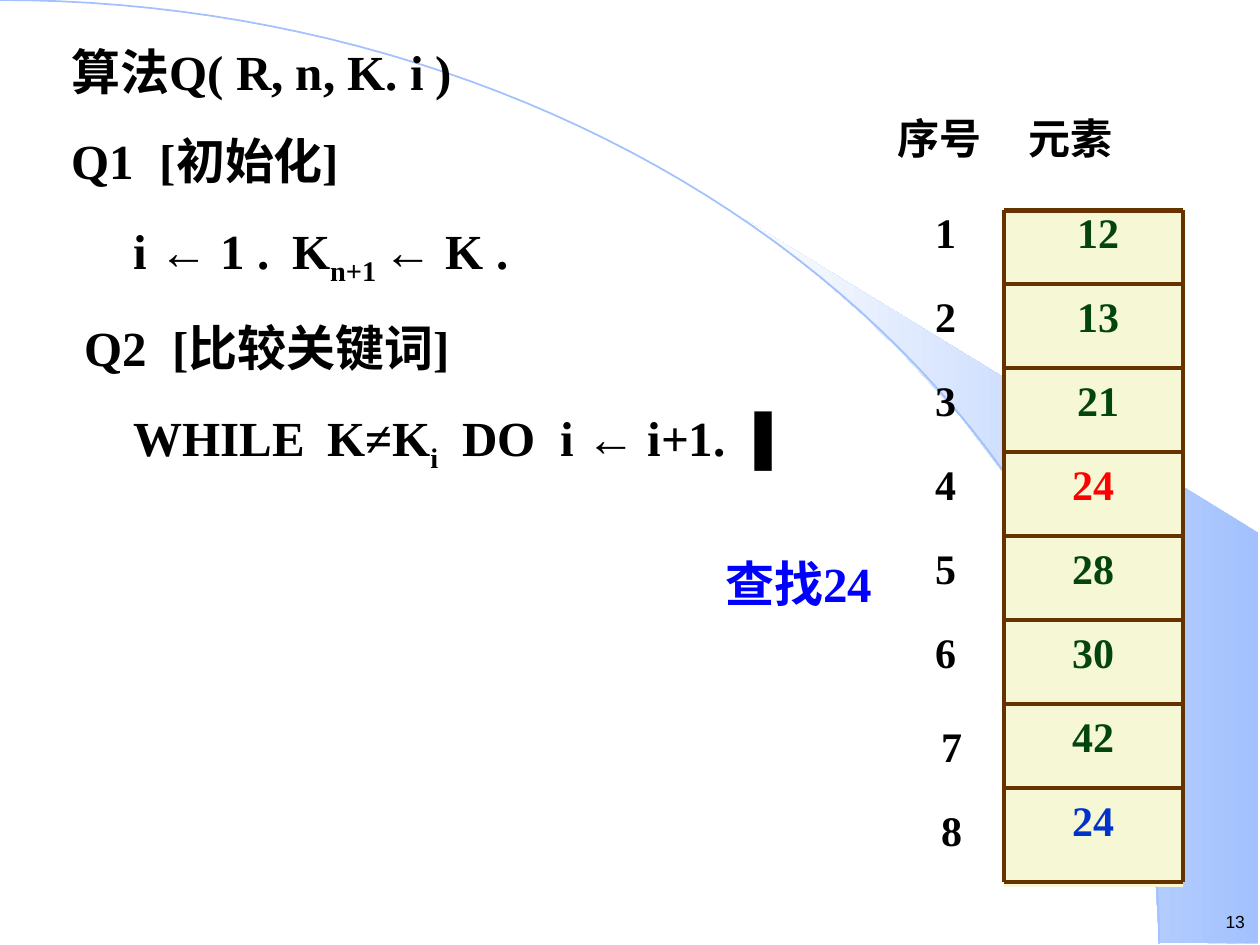
from math import cos, pi, sin

from lxml import etree
from pptx import Presentation
from pptx.dml.color import RGBColor
from pptx.enum.shapes import MSO_CONNECTOR, MSO_SHAPE
from pptx.enum.text import MSO_ANCHOR, MSO_AUTO_SIZE, PP_ALIGN
from pptx.oxml.ns import qn
from pptx.util import Inches, Pt

LEFT, CENTER, RIGHT = PP_ALIGN.LEFT, PP_ALIGN.CENTER, PP_ALIGN.RIGHT
TOP, FIT, NO_FIT = MSO_ANCHOR.TOP, MSO_AUTO_SIZE.SHAPE_TO_FIT_TEXT, MSO_AUTO_SIZE.NONE
RECT, STRAIGHT = MSO_SHAPE.RECTANGLE, MSO_CONNECTOR.STRAIGHT

THEME = {
    "ink": "000000", "value": "04440F", "found": "FF0000", "repeat": "0033CC",
    "query": "0000FF", "cell": "F5F7D5", "border": "663300",
    "sweep": "A2C1FE", "fade": "FEFEFE",
    "serif": "Times New Roman", "sans": "Arial",
    "body": 28, "table": 24, "number": 10,
}

# style of each run: plain, arrow or sub
ALGORITHM = [
    ([], [("算法Q( R, n, K. i )", "plain")]),
    ([0.7], [("Q1\t[初始化]", "plain")]),
    ([0.49, 1.75], [("\ti ", "plain"), ("←", "arrow"), (" 1 .\tK", "plain"),
                    ("n+1 ", "sub"), ("← ", "arrow"), ("K .", "plain")]),
    ([0.1, 0.8], [("\tQ2\t[比较关键词]", "plain")]),
    ([0.49, 2.03, 3.1, 3.88], [("\tWHILE\tK≠K", "plain"), ("i", "sub"), ("\tDO\ti ", "plain"),
                               ("←", "arrow"), (" i+1. ▐", "plain")]),
]
ELEMENTS = [("12", "value"), ("13", "value"), ("21", "value"), ("24", "found"),
            ("28", "value"), ("30", "value"), ("42", "value"), ("24", "repeat")]
WEDGE = [(9.2, 7.48), (9.99, 7.49), (9.99, 4.23), (5.89, 1.73), (6.24, 1.99), (6.53, 2.22),
         (6.85, 2.5), (7.16, 2.8), (7.62, 3.3), (8.03, 3.84), (8.32, 4.31), (8.58, 4.79),
         (8.78, 5.28), (8.93, 5.72), (9.03, 6.09), (9.13, 6.56), (9.17, 6.96)]
ARC_W, ARC_H, ARC_STEPS = 9.2, 7.49, 60
GRID_X, GRID_Y, GRID_W, GRID_BOTTOM = 7.97, 1.67, 1.42, 7
ROW_Y, ROW_STEP = 1.59, 2 / 3


def rgb(name):
    """Return a theme colour."""
    return RGBColor.from_string(THEME[name])


def add_text(s, box, lines, size, color="ink", font="serif", align=CENTER, bold=True,
             fit=FIT, inset=0.1):
    """Add a text box of lines, each a pair of tab stops and styled runs."""
    tf = s.shapes.add_textbox(*map(Inches, box)).text_frame
    frame = {"word_wrap": True, "auto_size": fit, "vertical_anchor": TOP,
             "margin_left": Inches(inset), "margin_right": Inches(min(inset, 0.1)),
             "margin_top": Inches(0.05), "margin_bottom": Inches(0.05)}
    for key, value in frame.items():
        setattr(tf, key, value)
    for i, (stops, runs) in enumerate(lines):
        p = tf.paragraphs[0] if i == 0 else tf.add_paragraph()
        p.alignment = align
        if i:
            p.space_before = Pt(17.5)
        if stops:
            tabs = etree.SubElement(p._p.get_or_add_pPr(), qn("a:tabLst"))
            for stop in stops:
                etree.SubElement(tabs, qn("a:tab"), pos=str(Inches(stop)), algn="l")
        for text, style in runs:
            r = p.add_run()
            r.text = text
            name = THEME["sans" if style == "arrow" else font]
            for key, value in {"name": name, "size": Pt(THEME[size]), "bold": bold}.items():
                setattr(r.font, key, value)
            r.font.color.rgb = rgb(color)
            if style == "sub":
                r._r.get_or_add_rPr().set("baseline", "-25000")


def add_label(s, box, text, size, stops=(), **style):
    """Add a text box holding one line."""
    add_text(s, box, [(stops, [(text, "plain")])], size, **style)


def add_outline(s, points, close):
    """Add a freeform through points given in inches."""
    builder = s.shapes.build_freeform(*map(Inches, points[0]), scale=1.0)
    builder.add_line_segments([tuple(map(Inches, pt)) for pt in points[1:]], close=close)
    sp = builder.convert_to_shape()
    sp.shadow.inherit = False
    return sp


def add_rule(s, x1, y1, x2, y2, width):
    """Add one border line of the element column."""
    sp = s.shapes.add_connector(STRAIGHT, *map(Inches, (x1, y1, x2, y2)))
    sp.line.color.rgb = rgb("border")
    sp.line.width = Pt(width)
    etree.SubElement(sp._element.spPr, qn("a:effectLst"))


def add_backdrop(s):
    """Draw the gradient wedge and the long arc."""
    sp = add_outline(s, WEDGE, True)
    sp.line.fill.background()
    sp.fill.gradient()
    sp.fill.gradient_angle = 180
    for stop, name in zip(sp.fill.gradient_stops, ("sweep", "fade")):
        stop.color.rgb = rgb(name)
    angles = [pi / 2 * i / ARC_STEPS for i in range(ARC_STEPS + 1)]
    sp = add_outline(s, [(ARC_W * sin(a), ARC_H * (1 - cos(a))) for a in angles], False)
    sp.fill.background()
    sp.line.color.rgb = rgb("sweep")
    sp.line.width = Pt(1)


def add_column(s):
    """Draw the numbered column of elements."""
    right = GRID_X + GRID_W
    sp = s.shapes.add_shape(RECT, *map(Inches, (GRID_X, GRID_Y, GRID_W, 5.37)))
    sp.shadow.inherit = False
    sp.fill.solid()
    sp.fill.fore_color.rgb = rgb("cell")
    sp.line.fill.background()
    tops = [ROW_Y + ROW_STEP * i for i in range(len(ELEMENTS))]
    for x in (GRID_X, right):
        add_rule(s, x, GRID_Y, x, GRID_BOTTOM, 2.5)
    for y in (GRID_Y, GRID_BOTTOM):
        add_rule(s, GRID_X, y, right, y, 2.5)
    for y in tops[1:]:
        add_rule(s, GRID_X, y, right, y, 2.25)
    add_label(s, (6.72, 0.84, 2.5, 0.5), "序号\t元素", "table", [1.04], align=LEFT, inset=0.4)
    for i, (y, (text, color)) in enumerate(zip(tops, ELEMENTS)):
        drop, width = (0.08, 0.67) if i >= 6 else (0, 0.58)
        add_label(s, (7.22, y + drop, width, 0.5), str(i + 1), "table")
        x, width = (8.3, 0.83) if i < 3 else (GRID_X, GRID_W)
        add_label(s, (x, y, width, 0.5), text, "table", color=color)


def main():
    """Build the sequential search slide."""
    prs = Presentation()
    prs.slide_width, prs.slide_height = Inches(10), Inches(7.5)
    s = prs.slides.add_slide(prs.slide_layouts[6])
    add_backdrop(s)
    add_label(s, (9.41, 7.18, 0.49, 0.27), "13", "number", font="sans", align=RIGHT,
              bold=False, inset=0.02)
    add_text(s, (0.47, 0.28, 6.22, 3.66), ALGORITHM, "body", align=LEFT, fit=NO_FIT)
    add_column(s)
    add_label(s, (5.55, 4.34, 1.58, 0.57), "查找24", "body", color="query")
    prs.save("out.pptx")


if __name__ == "__main__":
    main()
